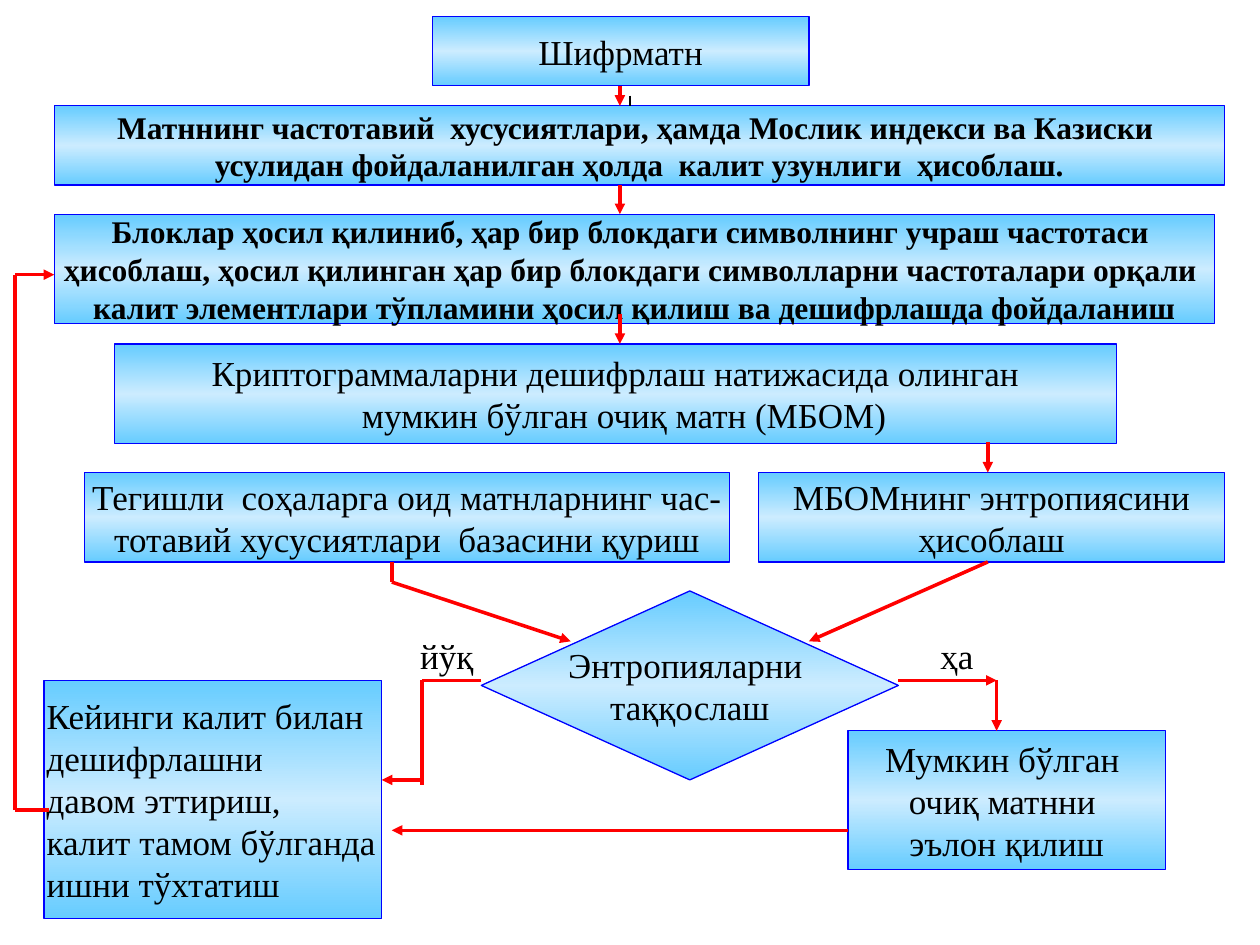
from copy import deepcopy
from lxml import etree
from pptx import Presentation
from pptx.dml.color import RGBColor
from pptx.enum.shapes import MSO_CONNECTOR, MSO_SHAPE
from pptx.enum.text import MSO_ANCHOR, PP_ALIGN
from pptx.oxml.ns import qn
from pptx.util import Inches, Pt

RECT = MSO_SHAPE.RECTANGLE
DIAMOND = MSO_SHAPE.FLOWCHART_DECISION
LINE = MSO_CONNECTOR.STRAIGHT
LEFT, CENTER = PP_ALIGN.LEFT, PP_ALIGN.CENTER
MIDDLE = MSO_ANCHOR.MIDDLE
COLORS = {"edge": "0000FF", "sky": "66CCFF", "pale": "CCECFF",
          "arrow": "FF0000", "ink": "000000"}


def color(name):
    return RGBColor.from_string(COLORS[name])


def write(shape, lines, size=20, bold=False, align=CENTER):
    frame = shape.text_frame
    frame.word_wrap = False
    frame.vertical_anchor = MIDDLE
    for i, line in enumerate(lines):
        para = frame.paragraphs[0] if i == 0 else frame.add_paragraph()
        para.text = line
        para.alignment = align
        para.font.name = "Times New Roman"
        para.font.size = Pt(size)
        para.font.bold = bold
        para.font.color.rgb = color("ink")


prs = Presentation()
prs.slide_width, prs.slide_height = Inches(10), Inches(7.5)
slide = prs.slides.add_slide(prs.slide_layouts[6])
shapes = slide.shapes

boxes = [
    (RECT, (0.43, 0.84, 9.29, 0.63), 18, True, CENTER, [
        "Матннинг частотавий  хусусиятлари, ҳамда Мослик индекси ва Казиски ",
        "усулидан фойдаланилган ҳолда  калит узунлиги  ҳисоблаш."]),
    (RECT, (0.43, 1.7, 9.21, 0.87), 18, True, CENTER, [
        "Блоклар ҳосил қилиниб, ҳар бир блокдаги символнинг учраш частотаси ",
        "ҳисоблаш, ҳосил қилинган ҳар бир блокдаги символларни частоталари орқали ",
        "калит элементлари тўпламини ҳосил қилиш ва дешифрлашда фойдаланиш"]),
    (RECT, (3.43, 0.13, 2.99, 0.55), 20, False, CENTER, ["Шифрматн"]),
    (RECT, (0.91, 2.73, 7.95, 0.79), 20, False, CENTER, [
        "Криптограммаларни дешифрлаш натижасида олинган",
        "  мумкин бўлган очиқ матн (МБОМ)"]),
    (RECT, (6.02, 3.75, 3.7, 0.71), 20, False, CENTER, [
        "МБОМнинг энтропиясини", " ҳисоблаш "]),
    (DIAMOND, (3.82, 4.69, 3.31, 1.5), 20, False, CENTER, [
        "Энтропияларни ", "таққослаш"]),
    (RECT, (6.73, 5.8, 2.52, 1.1), 20, False, CENTER, [
        "Мумкин бўлган ", "очиқ матнни ", "эълон қилиш"]),
    (RECT, (0.67, 3.75, 5.12, 0.71), 20, False, CENTER, [
        "Тегишли  соҳаларга оид матнларнинг час-",
        "тотавий хусусиятлари  базасини қуриш"]),
    (RECT, (0.35, 5.4, 2.68, 1.89), 20, False, LEFT, [
        "Кейинги калит билан", "дешифрлашни", "давом эттириш,",
        "калит тамом бўлганда", "ишни тўхтатиш"]),
]
for kind, place, size, bold, align, lines in boxes:
    box = shapes.add_shape(kind, *map(Inches, place))
    box.shadow.inherit = False
    box.fill.gradient()
    box.fill.gradient_angle = 90
    first = box._element.spPr.find(".//" + qn("a:gs"))
    first.addnext(deepcopy(first))
    stops = zip(box.fill.gradient_stops, (0, 0.5, 1), ("sky", "pale", "sky"))
    for stop, pos, name in stops:
        stop.position = pos
        stop.color.rgb = color(name)
    box.line.color.rgb = color("edge")
    box.line.width = Pt(0.75)
    write(box, lines, size, bold, align)
    if align == LEFT:
        frame = box.text_frame
        frame.margin_left = frame.margin_right = Inches(0.02)
        frame.margin_top = frame.margin_bottom = Inches(0.02)

for label, left, width in (("йўқ", 3.27, 0.55), ("ҳа", 7.36, 0.47)):
    note = shapes.add_textbox(Inches(left), Inches(5.01),
                              Inches(width), Inches(0.39))
    note.text_frame.margin_left = note.text_frame.margin_right = Inches(0)
    write(note, [label])

routes = [
    ([(5, 0.76), (5, 0.84)], "ink", 0.75, False),
    ([(4.92, 0.68), (4.92, 0.84)], "arrow", 2, True),
    ([(4.92, 1.47), (4.92, 1.7)], "arrow", 2, True),
    ([(4.92, 2.49), (4.92, 2.73)], "arrow", 2, True),
    ([(7.84, 3.51), (7.84, 3.75)], "arrow", 2, True),
    ([(3.11, 4.46), (3.11, 4.62), (4.53, 5.09)], "arrow", 2, True),
    ([(7.84, 4.46), (6.42, 5.09)], "arrow", 2, True),
    ([(7.13, 5.4), (7.91, 5.4)], "arrow", 2, True),
    ([(7.91, 5.4), (7.91, 5.8)], "arrow", 2, True),
    ([(3.82, 5.4), (3.35, 5.4), (3.35, 6.23)], "arrow", 2, False),
    ([(3.35, 6.19), (3.03, 6.19)], "arrow", 2, True),
    ([(6.73, 6.59), (3.11, 6.59)], "arrow", 2, True),
    ([(0.39, 6.43), (0.12, 6.43), (0.12, 2.18), (0.43, 2.18)],
     "arrow", 2, True),
]
for points, name, width, head in routes:
    for start, end in zip(points, points[1:]):
        link = shapes.add_connector(LINE, *map(Inches, start + end))
        link.line.color.rgb = color(name)
        link.line.width = Pt(width)
        if head and end == points[-1]:
            etree.SubElement(link.line._get_or_add_ln(),
                             qn("a:tailEnd"), type="triangle")
        etree.SubElement(link._element.spPr, qn("a:effectLst"))

prs.save("out.pptx")
